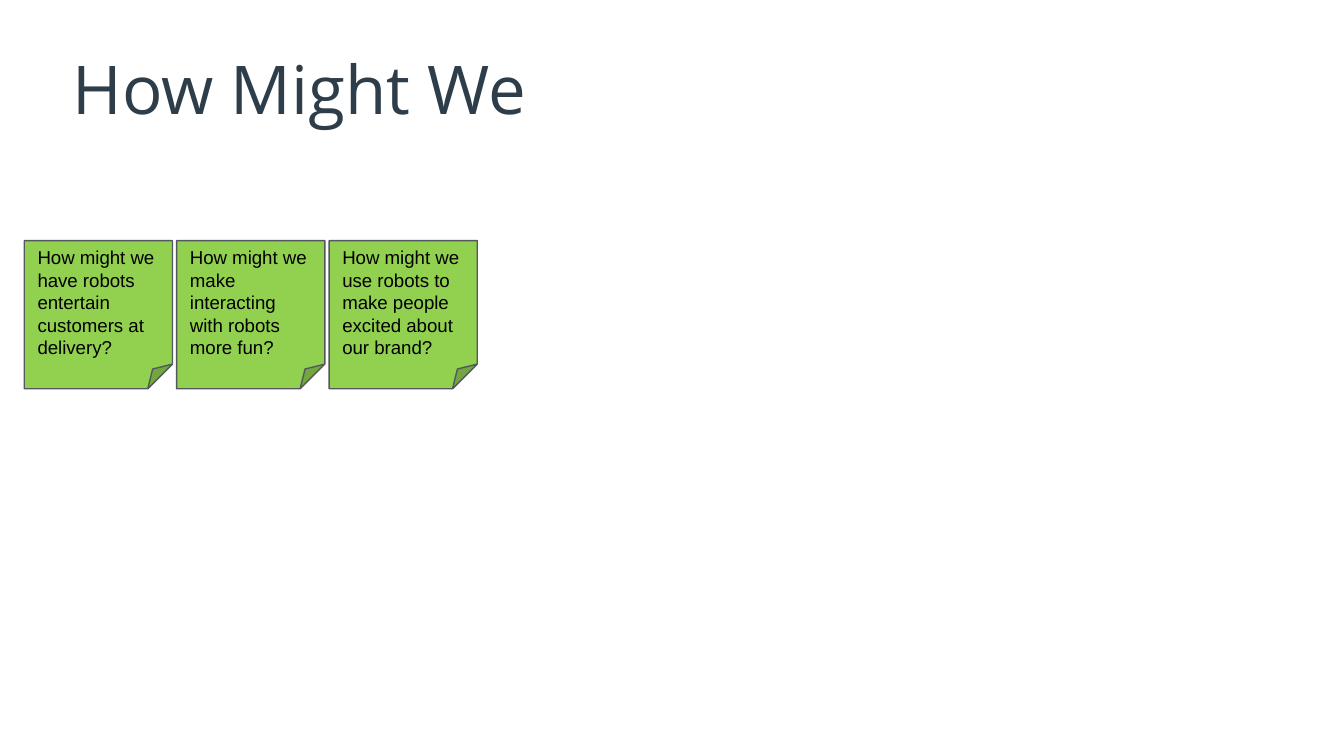
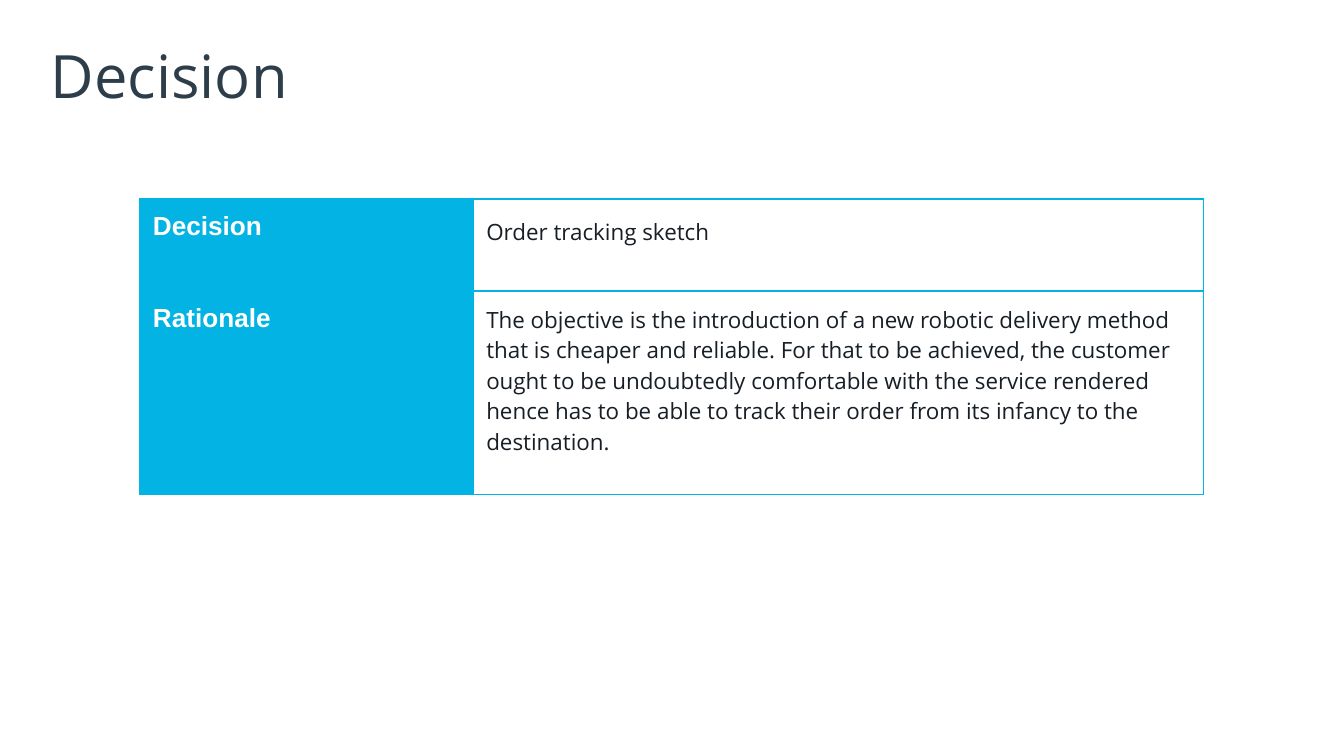
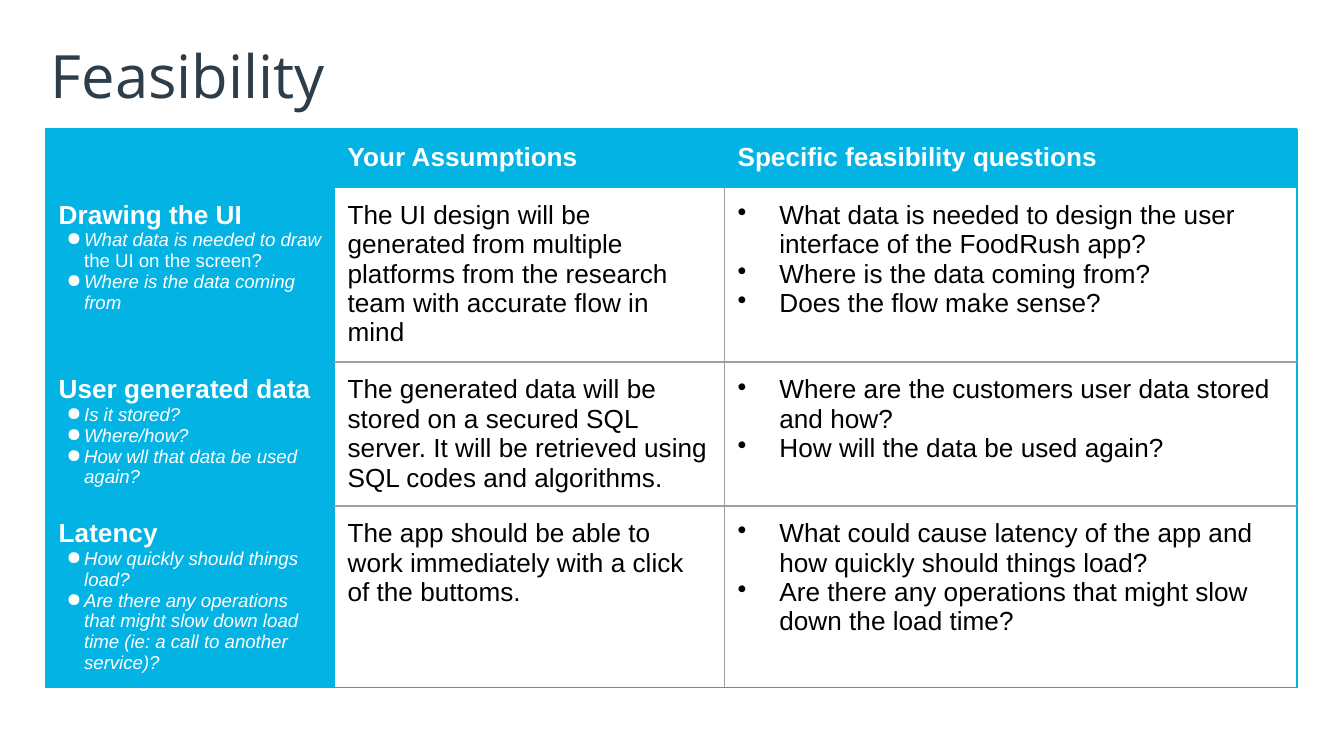
from dataclasses import dataclass
from typing import Optional

from lxml.etree import SubElement
from pptx import Presentation
from pptx.dml.color import RGBColor
from pptx.enum.shapes import MSO_SHAPE
from pptx.enum.text import MSO_ANCHOR, MSO_AUTO_SIZE, PP_ALIGN
from pptx.oxml.ns import qn
from pptx.util import Cm, Pt

COLORS = {
    "title": "2D3D4A",
    "accent": "02B3E4",
    "grid": "9E9E9E",
    "note": "92D050",
    "note_line": "53585F",
    "white": "FFFFFF",
    "black": "000000",
    "body": "171E25",
}

# Font values and colour of each kind of text
STYLES = {
    "title_large": ({"name": "Open Sans", "size": Pt(36)}, "title"),
    "title": ({"name": "Open Sans", "size": Pt(32)}, "title"),
    "note": ({"name": "Arial", "size": Pt(10)}, "black"),
    "head": ({"name": "Arial", "size": Pt(14), "bold": True}, "white"),
    "hint": ({"name": "Arial", "size": Pt(10), "bold": False, "italic": True}, "white"),
    "hint_plain": ({"name": "Arial", "size": Pt(10), "bold": False, "italic": False}, "white"),
    "answer": ({"name": "Arial", "size": Pt(14), "bold": False}, "black"),
    "body": ({"name": "Open Sans", "size": Pt(12), "bold": False}, "body"),
}
INSET = Cm(0.25)


@dataclass
class Bullet:
    char: str
    indent: int
    hanging: int
    color: str


@dataclass
class Para:
    runs: list[tuple[str, str]]  # (text, style)
    bullet: Optional[Bullet] = None
    line_spacing: Optional[float] = None


@dataclass
class Grid:
    left: int
    top: int
    cols: list[int]
    rows: list[int]
    cells: list[list[list[Para]]]
    header_rows: int
    inner: str

    def is_filled(self, row: int, col: int) -> bool:
        return row < self.header_rows or col == 0

    def edge_color(self, row: int, col: int, row_step: int, col_step: int) -> str:
        """Only an edge between two unfilled cells takes the inner colour."""
        near_row, near_col = row + row_step, col + col_step
        inside = 0 <= near_row < len(self.rows) and 0 <= near_col < len(self.cols)
        if inside and not self.is_filled(row, col) and not self.is_filled(near_row, near_col):
            return self.inner
        return "accent"


HINT_BULLET = Bullet("●", Cm(0.48), Cm(0.33), "white")
QUESTION_BULLET = Bullet("•", Cm(0.79), Cm(0.79), "black")
EDGES = {"a:lnL": (0, -1), "a:lnR": (0, 1), "a:lnT": (-1, 0), "a:lnB": (1, 0)}


def rgb(name: str) -> RGBColor:
    return RGBColor.from_string(COLORS[name])


def set_attrs(obj, values: dict) -> None:
    for name, value in values.items():
        setattr(obj, name, value)


def margins(inset: int) -> dict:
    return {f"margin_{side}": inset for side in ("left", "top", "right", "bottom")}


def para(text: str, style: str, **options) -> Para:
    return Para([(text, style)], **options)


def topic(head: str, *hints: Para) -> list[Para]:
    return [para(head, "head"), *hints]


def hint(text: str) -> Para:
    return para(text, "hint", bullet=HINT_BULLET)


def questions(*texts: str) -> list[Para]:
    return [para(t, "answer", bullet=QUESTION_BULLET) for t in texts]


def add_bullet(p, bullet: Bullet) -> None:
    ppr = p._p.get_or_add_pPr()
    ppr.set("marL", str(int(bullet.indent)))
    ppr.set("indent", str(-int(bullet.hanging)))
    clr = SubElement(ppr, qn("a:buClr"))
    SubElement(clr, qn("a:srgbClr"), val=COLORS[bullet.color])
    SubElement(ppr, qn("a:buChar"), char=bullet.char)


def write(tf, paras: list[Para]) -> None:
    for i, item in enumerate(paras):
        p = tf.add_paragraph() if i else tf.paragraphs[0]
        p.alignment = PP_ALIGN.LEFT
        if item.line_spacing:
            p.line_spacing = item.line_spacing
        if item.bullet:
            add_bullet(p, item.bullet)
        for text, style in item.runs:
            r = p.add_run()
            r.text = text
            values, color = STYLES[style]
            set_attrs(r.font, values)
            r.font.color.rgb = rgb(color)


def add_slide(prs, title: str, style: str, box: tuple[int, int, int, int]):
    s = prs.slides.add_slide(prs.slide_layouts[5])
    sp = s.shapes.title
    set_attrs(sp, dict(zip(("left", "top", "width", "height"), box)))
    set_attrs(sp.text_frame, {
        **margins(Cm(0.1)),
        "word_wrap": True,
        "auto_size": MSO_AUTO_SIZE.NONE,
        "vertical_anchor": MSO_ANCHOR.MIDDLE,
    })
    write(sp.text_frame, [para(title, style)])
    return s


def add_note(s, left: int, top: int, size: int, text: str) -> None:
    sp = s.shapes.add_shape(MSO_SHAPE.FOLDED_CORNER, left, top, size, size)
    sp.shadow.inherit = False
    sp.fill.solid()
    sp.fill.fore_color.rgb = rgb("note")
    sp.line.color.rgb = rgb("note_line")
    sp.line.width = Pt(0.75)
    set_attrs(sp.text_frame, {
        **margins(INSET), "word_wrap": True, "vertical_anchor": MSO_ANCHOR.MIDDLE,
    })
    write(sp.text_frame, [para(text, "note")])


def add_borders(cell, colors: dict[str, str]) -> None:
    """Put the edge lines ahead of the cell fill, as the schema asks."""
    tcpr = cell._tc.get_or_add_tcPr()
    for i, (tag, color) in enumerate(colors.items()):
        ln = SubElement(tcpr, qn(tag), w=str(int(Pt(0.75))))
        fill = SubElement(ln, qn("a:solidFill"))
        SubElement(fill, qn("a:srgbClr"), val=COLORS[color])
        tcpr.insert(i, ln)


def add_grid(s, grid: Grid) -> None:
    table = s.shapes.add_table(len(grid.rows), len(grid.cols), grid.left, grid.top,
                               sum(grid.cols), sum(grid.rows)).table
    set_attrs(table, {"first_row": False, "horz_banding": False})
    for col, width in zip(table.columns, grid.cols):
        col.width = width
    for row, height in zip(table.rows, grid.rows):
        row.height = height
    for i, row in enumerate(grid.cells):
        for j, paras in enumerate(row):
            cell = table.cell(i, j)
            set_attrs(cell, margins(INSET))
            if grid.is_filled(i, j):
                cell.fill.solid()
                cell.fill.fore_color.rgb = rgb("accent")
            else:
                cell.fill.background()
            add_borders(cell, {tag: grid.edge_color(i, j, *step) for tag, step in EDGES.items()})
            if paras:
                write(cell.text_frame, paras)
            else:
                SubElement(cell.text_frame.paragraphs[0]._p, qn("a:endParaRPr"), sz="1400")


NOTES = [
    "How might we have robots entertain customers at delivery?",
    "How might we make interacting with robots more fun?",
    "How might we use robots to make people excited about our brand?",
]
NOTE_LEFT, NOTE_TOP, NOTE_SIZE, NOTE_PITCH = Cm(0.46), Cm(4.55), Cm(2.8), Cm(2.88)
TITLE_BOX = (Cm(0.86), Cm(0.61), Cm(23.67), Cm(1.6))

DECISION = Grid(
    Cm(2.64), Cm(3.76), [Cm(6.3), Cm(13.8)], [Cm(1.74), Cm(3.84)],
    [
        [topic("Decision"), [para("Order tracking sketch", "body", line_spacing=1.15)]],
        [topic("Rationale"), [para(
            "The objective is the introduction of a new robotic delivery method that is cheaper "
            "and reliable. For that to be achieved, the customer ought to be undoubtedly "
            "comfortable with the service rendered hence has to be able to track their order "
            "from its infancy to the destination.", "body")]],
    ],
    header_rows=0, inner="accent",
)

FEASIBILITY = Grid(
    Cm(0.86), Cm(2.44), [Cm(5.46), Cm(7.37), Cm(10.82)],
    [Cm(1.05), Cm(3.3), Cm(2.72), Cm(3.43)],
    [
        [[], topic("Your Assumptions"), topic("Specific feasibility questions")],
        [
            topic("Drawing the UI",
                  Para([("What data is needed to draw ", "hint"),
                        ("the UI on the screen?", "hint_plain")], HINT_BULLET),
                  hint("Where is the data coming from")),
            [para("The UI design will be generated from multiple platforms from the research "
                  "team with accurate flow in mind", "answer")],
            questions("What data is needed to design the user interface of the FoodRush app?",
                      "Where is the data coming from?",
                      "Does the flow make sense?"),
        ],
        [
            topic("User generated data", hint("Is it stored?"), hint("Where/how?"),
                  hint("How wll that data be used again?")),
            [para("The generated data will be stored on a secured SQL server. It will be "
                  "retrieved using SQL codes and algorithms.", "answer")],
            questions("Where are the customers user data stored and how?",
                      "How will the data be used again?"),
        ],
        [
            topic("Latency", hint("How quickly should things load?"),
                  hint("Are there any operations that might slow down load time "
                       "(ie: a call to another service)?")),
            [para("The app should be able to work immediately with a click of the buttoms.",
                  "answer")],
            questions("What could cause latency of the app and how quickly should things load?",
                      "Are there any operations that might slow down the load time?"),
        ],
    ],
    header_rows=1, inner="grid",
)


def main() -> None:
    prs = Presentation()
    prs.slide_width, prs.slide_height = Cm(25.4), Cm(14.29)

    s = add_slide(prs, "How Might We", "title_large",
                  (Cm(1.27), Cm(0.84), Cm(22.86), Cm(1.65)))
    for i, text in enumerate(NOTES):
        add_note(s, NOTE_LEFT + i * NOTE_PITCH, NOTE_TOP, NOTE_SIZE, text)

    for title, grid in (("Decision", DECISION), ("Feasibility", FEASIBILITY)):
        add_grid(add_slide(prs, title, "title", TITLE_BOX), grid)

    prs.save("out.pptx")


if __name__ == "__main__":
    main()
